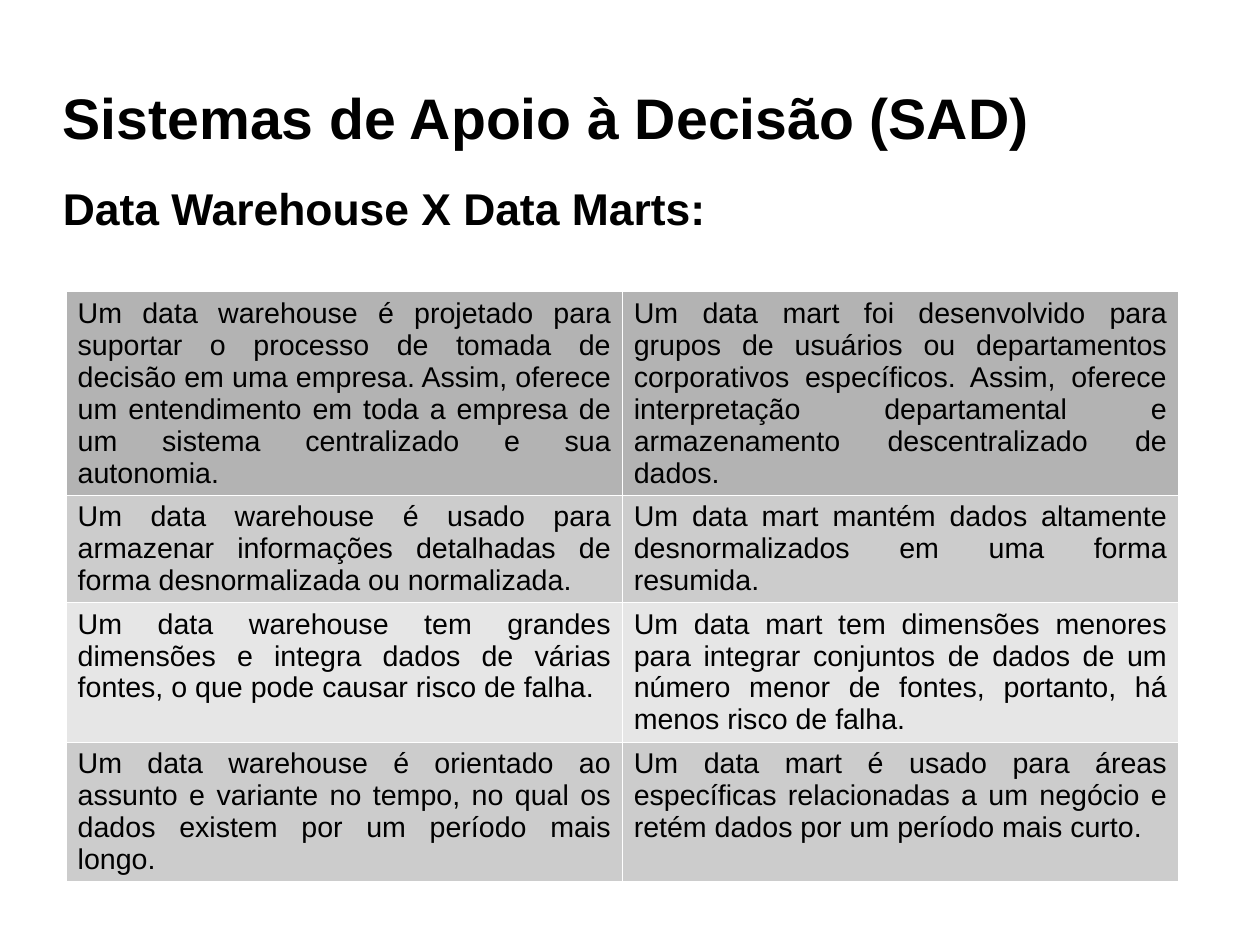
from dataclasses import dataclass

from lxml import etree
from pptx import Presentation
from pptx.dml.color import RGBColor
from pptx.enum.text import MSO_ANCHOR, MSO_AUTO_SIZE, PP_ALIGN
from pptx.oxml.ns import qn
from pptx.util import Inches, Pt

LEFT, JUSTIFY = PP_ALIGN.LEFT, PP_ALIGN.JUSTIFY
TOP, MIDDLE = MSO_ANCHOR.TOP, MSO_ANCHOR.MIDDLE
NO_AUTOFIT = MSO_AUTO_SIZE.NONE


@dataclass(frozen=True)
class Theme:
    font: str = "Arial"
    text: str = "000000"
    border: str = "FFFFFF"
    row_fills: tuple = ("B3B3B3", "CCCCCC", "E6E6E6", "CCCCCC")
    title_size: int = 36
    subtitle_size: int = 28
    cell_size: int = 18
    border_width: float = 0.06


THEME = Theme()

# The page measures 28 by 21 centimetres
CM_PER_INCH = 2.54
PAGE_WIDTH, PAGE_HEIGHT = 28 / CM_PER_INCH, 21 / CM_PER_INCH

TABLE_WIDTH = 9.73
ROW_HEIGHTS = (1.77, 0.94, 1.22, 1.22)
COMPARISON = (
    ("Um data warehouse é projetado para suportar o processo de tomada de decisão em uma "
     "empresa. Assim, oferece um entendimento em toda a empresa de um sistema centralizado "
     "e sua autonomia.",
     "Um data mart foi desenvolvido para grupos de usuários ou departamentos corporativos "
     "específicos. Assim, oferece interpretação departamental e armazenamento "
     "descentralizado de dados."),
    ("Um data warehouse é usado para armazenar informações detalhadas de forma "
     "desnormalizada ou normalizada.",
     "Um data mart mantém dados altamente desnormalizados em uma forma resumida."),
    ("Um data warehouse tem grandes dimensões e integra dados de várias fontes, o que pode "
     "causar risco de falha.",
     "Um data mart tem dimensões menores para integrar conjuntos de dados de um número "
     "menor de fontes, portanto, há menos risco de falha."),
    ("Um data warehouse é orientado ao assunto e variante no tempo, no qual os dados "
     "existem por um período mais longo.",
     "Um data mart é usado para áreas específicas relacionadas a um negócio e retém dados "
     "por um período mais curto."),
)


def set_page_size(deck):
    deck.slide_width, deck.slide_height = Inches(PAGE_WIDTH), Inches(PAGE_HEIGHT)
    # The template's 4:3 preset label does not fit a custom size
    deck.element.find(qn("p:sldSz")).attrib.pop("type", None)


def write_text(frame, text, *, size, bold=False, align=LEFT, space_before=0):
    para = frame.paragraphs[0]
    para.alignment = align
    para.space_before = Pt(space_before)
    span = para.add_run()
    span.text = text
    span.font.name = THEME.font
    span.font.size = Pt(size)
    span.font.bold = bold
    span.font.color.rgb = RGBColor.from_string(THEME.text)


def fill_placeholder(box, text, left, top, width, height, *, anchor, **text_format):
    box.left, box.top = Inches(left), Inches(top)
    box.width, box.height = Inches(width), Inches(height)
    frame = box.text_frame
    frame.word_wrap = True
    frame.auto_size = NO_AUTOFIT
    frame.vertical_anchor = anchor
    frame.margin_left = frame.margin_right = Inches(0)
    frame.margin_top = frame.margin_bottom = Inches(0)
    write_text(frame, text, **text_format)


def add_borders(cell):
    properties = cell._tc.get_or_add_tcPr()
    for side in ("lnL", "lnR", "lnT", "lnB"):
        line = etree.SubElement(properties, qn(f"a:{side}"), w=str(Pt(THEME.border_width)))
        fill = etree.SubElement(line, qn("a:solidFill"))
        etree.SubElement(fill, qn("a:srgbClr"), val=THEME.border)


def format_cell(cell, text, fill):
    cell.margin_left = cell.margin_right = Inches(0.1)
    cell.margin_top = cell.margin_bottom = Inches(0.05)
    add_borders(cell)
    cell.fill.solid()
    cell.fill.fore_color.rgb = RGBColor.from_string(fill)
    write_text(cell.text_frame, text, size=THEME.cell_size, align=JUSTIFY)


def add_comparison_table(page, left, top):
    # Columns share the width equally
    table = page.shapes.add_table(
        len(COMPARISON), len(COMPARISON[0]), Inches(left), Inches(top),
        Inches(TABLE_WIDTH), Inches(sum(ROW_HEIGHTS))).table
    table.first_row = table.horz_banding = False
    for row, height, texts, fill in zip(table.rows, ROW_HEIGHTS, COMPARISON, THEME.row_fills):
        row.height = Inches(height)
        for cell, text in zip(row.cells, texts):
            format_cell(cell, text, fill)


def main():
    deck = Presentation()
    set_page_size(deck)
    page = deck.slides.add_slide(deck.slide_layouts[0])

    # Headings
    fill_placeholder(page.shapes.title, "Sistemas de Apoio à Decisão (SAD)",
                     0.55, 0.46, 9.45, 1.12, anchor=MIDDLE,
                     size=THEME.title_size, bold=True)
    fill_placeholder(page.placeholders[1], "Data Warehouse X Data Marts:",
                     0.55, 1.58, 5.98, 0.47, anchor=TOP,
                     size=THEME.subtitle_size, bold=True, align=JUSTIFY, space_before=10)

    # Comparison
    add_comparison_table(page, 0.58, 2.55)

    deck.save("out.pptx")


if __name__ == "__main__":
    main()
